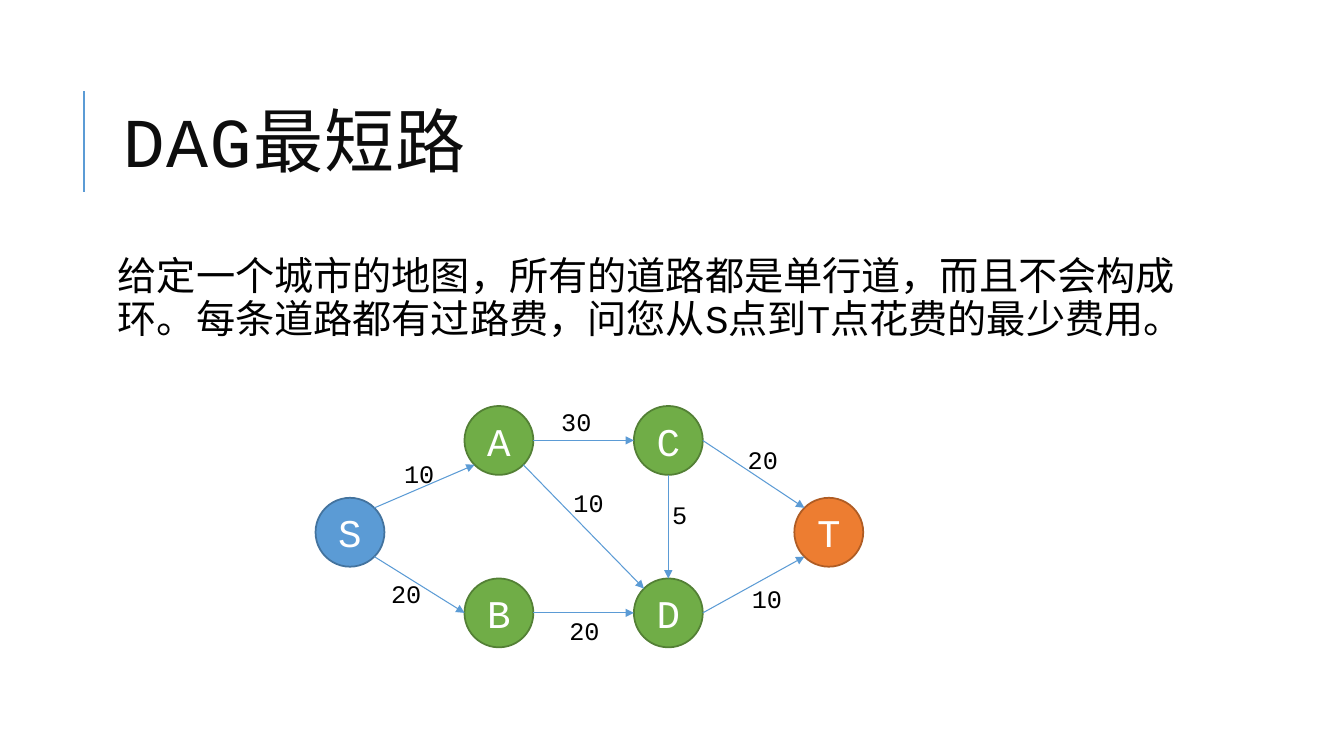
from lxml import etree
from pptx import Presentation
from pptx.dml.color import RGBColor
from pptx.enum.shapes import MSO_CONNECTOR, MSO_SHAPE
from pptx.enum.text import MSO_ANCHOR, MSO_AUTO_SIZE, PP_ALIGN
from pptx.oxml.ns import qn
from pptx.util import Pt

LEFT, CENTER = PP_ALIGN.LEFT, PP_ALIGN.CENTER
TOP, MIDDLE = MSO_ANCHOR.TOP, MSO_ANCHOR.MIDDLE
STRAIGHT, CIRCLE = MSO_CONNECTOR.STRAIGHT, MSO_SHAPE.OVAL
NO_AUTOFIT = MSO_AUTO_SIZE.NONE

FONT = "Courier New"
COLORS = {
    "title": "0D0D0D", "text": "000000", "node_text": "FFFFFF", "line": "5B9BD5",
    "start": "5B9BD5", "start_edge": "43739E",
    "middle": "70AD47", "middle_edge": "538035",
    "end": "ED7D31", "end_edge": "AF5C24",
}


def color(name):
    return RGBColor.from_string(COLORS[name])


def write(shape, text, size=18, ink="text", align=LEFT, anchor=TOP, spacing=1.0,
          before=0, after=0, tracking=0):
    frame = shape.text_frame
    frame.word_wrap = True
    frame.auto_size = NO_AUTOFIT
    frame.vertical_anchor = anchor
    paragraph = frame.paragraphs[0]
    paragraph.alignment = align
    paragraph.line_spacing = spacing
    paragraph.space_before, paragraph.space_after = Pt(before), Pt(after)
    run = paragraph.add_run()
    run.text = text
    run.font.name, run.font.size = FONT, Pt(size)
    run.font.color.rgb = color(ink)
    properties = run._r.get_or_add_rPr()
    properties.set("lang", "zh-CN")
    properties.set("spc", str(tracking * 100))


def add_line(shapes, start, end, width, arrow=False):
    line = shapes.add_connector(STRAIGHT, *[Pt(v) for v in (*start, *end)])
    line.line.color.rgb = color("line")
    line.line.width = Pt(width)
    if arrow:
        etree.SubElement(line.line._get_or_add_ln(), qn("a:tailEnd"), type="triangle")
    etree.SubElement(line._element.spPr, qn("a:effectLst"))


deck = Presentation()
deck.slide_width, deck.slide_height = Pt(960), Pt(540)
slide = deck.slides.add_slide(deck.slide_layouts[1])

add_line(slide.shapes, (60, 136.8), (60, 64.8), 1.5)

title, question = slide.placeholders
title.left, title.top, title.width, title.height = Pt(80.6), Pt(46), Pt(765.4), Pt(118)
write(title, "DAG最短路", size=50, ink="title", anchor=MIDDLE, spacing=0.8, tracking=1)

question.left, question.top, question.width, question.height = (
    Pt(80.6), Pt(180), Pt(765.4), Pt(316.8))
write(question, "给定一个城市的地图，所有的道路都是单行道，而且不会构成环。"
      "每条道路都有过路费，问您从S点到T点花费的最少费用。",
      size=28, spacing=0.9, before=12, after=2)
question_frame = question.text_frame
question_frame.margin_left = question_frame.margin_right = Pt(3.6)
question_frame.margin_top = question_frame.margin_bottom = Pt(3.6)
bullet_properties = question_frame.paragraphs[0]._p.get_or_add_pPr()
bullet_properties.set("marL", "0")
bullet_properties.set("indent", "0")
etree.SubElement(bullet_properties, qn("a:buNone"))

# Graph: circle centres, and the points on a circle where roads meet it
graph = slide.shapes.add_group_shape().shapes
RADIUS = 24.6
DIAGONAL = RADIUS * 0.5 ** 0.5
upper, center, lower = 314.6, 380.2, 437.8
cities = {
    "S": (250, center, "start"),
    "A": (356.4, upper, "middle"),
    "B": (356.4, lower, "middle"),
    "C": (477.4, upper, "middle"),
    "D": (477.4, lower, "middle"),
    "T": (592, center, "end"),
}
sides = {
    "n": (0, -RADIUS), "s": (0, RADIUS), "w": (-RADIUS, 0), "e": (RADIUS, 0),
    "nw": (-DIAGONAL, -DIAGONAL), "ne": (DIAGONAL, -DIAGONAL),
    "sw": (-DIAGONAL, DIAGONAL), "se": (DIAGONAL, DIAGONAL),
}

for city, (x, y, role) in cities.items():
    node = graph.add_shape(CIRCLE, Pt(x - RADIUS), Pt(y - RADIUS),
                           Pt(2 * RADIUS), Pt(2 * RADIUS))
    node.shadow.inherit = False
    node.fill.solid()
    node.fill.fore_color.rgb = color(role)
    node.line.color.rgb = color(role + "_edge")
    node.line.width = Pt(1.25)
    write(node, city, size=28, ink="node_text", align=CENTER, anchor=MIDDLE)

# from, side, to, side, toll, left and top of the toll label
roads = [
    ("S", "ne", "A", "sw", "10", 281.5, 324),
    ("S", "se", "B", "w", "20", 272.2, 409.7),
    ("A", "e", "C", "w", "30", 393.8, 286.6),
    ("A", "se", "D", "nw", "10", 402.5, 344.9),
    ("C", "s", "D", "n", "5", 473, 352.8),
    ("B", "e", "D", "w", "20", 399.6, 436.3),
    ("C", "e", "T", "nw", "20", 527, 313.9),
    ("D", "e", "T", "sw", "10", 529.9, 413.3),
]
for origin, exit_side, target, entry_side, toll, label_left, label_top in roads:
    start, end = [
        (cities[city][0] + sides[side][0], cities[city][1] + sides[side][1])
        for city, side in ((origin, exit_side), (target, entry_side))
    ]
    add_line(graph, start, end, 0.75, arrow=True)
    toll_label = graph.add_textbox(Pt(label_left), Pt(label_top), Pt(56.9), Pt(28.8))
    write(toll_label, toll)

deck.save("out.pptx")
